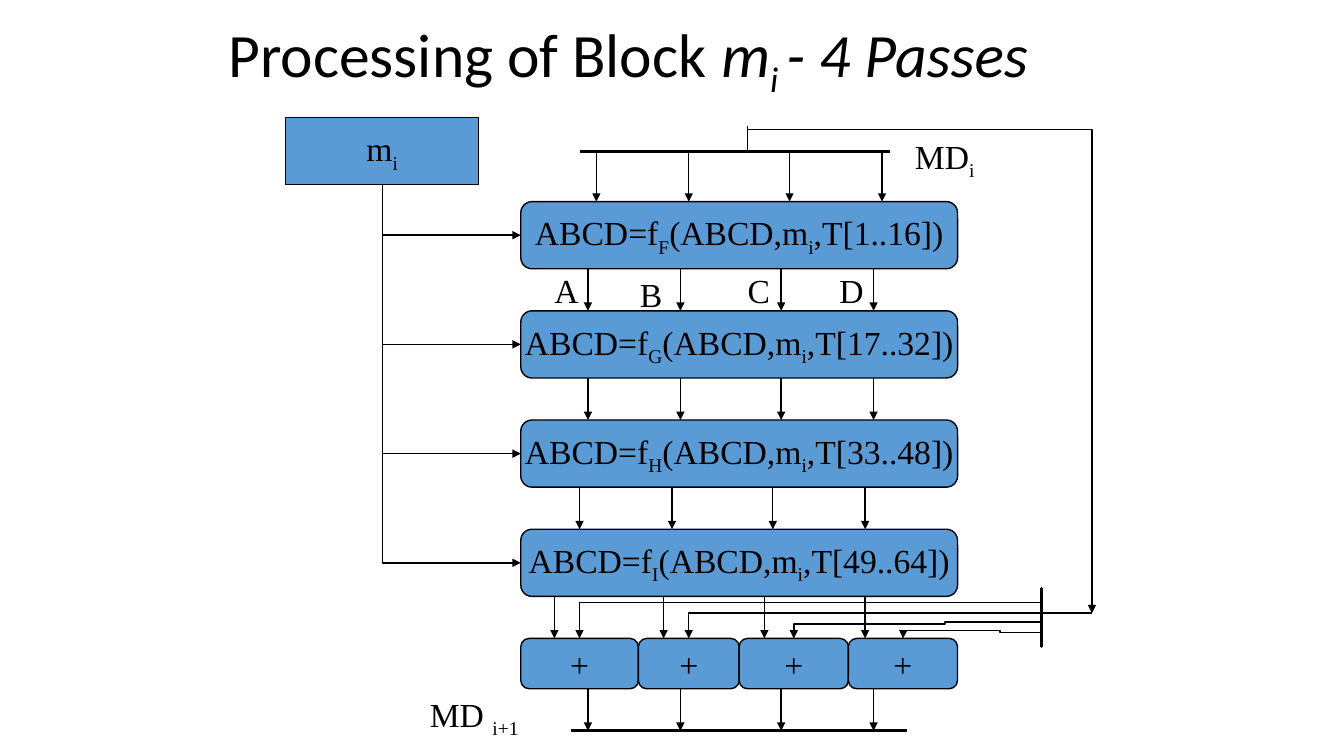
import dataclasses

import pptx
import pptx.dml.color
import pptx.enum.dml
import pptx.enum.shapes
import pptx.enum.text
import pptx.oxml
import pptx.oxml.ns
import pptx.util

Pt = pptx.util.Pt
SHAPE = pptx.enum.shapes.MSO_SHAPE
CONNECTOR = pptx.enum.shapes.MSO_CONNECTOR
ALIGN = pptx.enum.text.PP_ALIGN
ANCHOR = pptx.enum.text.MSO_ANCHOR
AUTO_SIZE = pptx.enum.text.MSO_AUTO_SIZE


@dataclasses.dataclass(frozen=True)
class Theme:
    """Colours, fonts and sizes of the slide."""
    ink: pptx.dml.color.RGBColor = pptx.dml.color.RGBColor(0, 0, 0)
    box_fill: pptx.dml.color.RGBColor = pptx.dml.color.RGBColor(0x5B, 0x9B, 0xD5)
    title_font: str = "Calibri"
    body_font: str = "Times New Roman"
    title_size: int = 44
    body_size: int = 24
    thin: float = 1
    thick: float = 2.25


@dataclasses.dataclass(frozen=True)
class Box:
    """A rectangle in points."""
    left: float
    top: float
    width: float
    height: float

    @property
    def right(self):
        """Right edge."""
        return self.left + self.width

    @property
    def bottom(self):
        """Bottom edge."""
        return self.top + self.height

    @property
    def lengths(self):
        """Left, top, width and height as lengths."""
        return [Pt(value) for value in (self.left, self.top, self.width, self.height)]


THEME = Theme()
WORD_OFFSETS = (0, 66, 138, 204)


def write_parts(paragraph, parts, font_name, size):
    """Write one run per part; a leading underscore makes it a subscript."""
    for part in parts:
        run = paragraph.add_run()
        run.text = part.removeprefix("_")
        run.font.name = font_name
        run.font.size = Pt(size)
        run.font.color.rgb = THEME.ink
        if part.startswith("_"):
            run.font._element.set("baseline", "-25000")


def add_box(slide, box, parts, preset=SHAPE.FLOWCHART_ALTERNATE_PROCESS):
    """Add a filled box with centred text."""
    shape = slide.shapes.add_shape(preset, *box.lengths)
    shape.shadow.inherit = False
    shape.fill.solid()
    shape.fill.fore_color.rgb = THEME.box_fill
    shape.line.color.rgb = THEME.ink
    shape.line.width = Pt(THEME.thin)
    frame = shape.text_frame
    frame.word_wrap = False
    frame.vertical_anchor = ANCHOR.MIDDLE
    paragraph = frame.paragraphs[0]
    paragraph.alignment = ALIGN.CENTER
    write_parts(paragraph, parts, THEME.body_font, THEME.body_size)


def add_label(slide, box, parts):
    """Add a one-line label."""
    frame = slide.shapes.add_textbox(*box.lengths).text_frame
    frame.word_wrap = False
    frame.auto_size = AUTO_SIZE.SHAPE_TO_FIT_TEXT
    write_parts(frame.paragraphs[0], parts, THEME.body_font, THEME.body_size)


def add_line(shapes, start, end, width=THEME.thin, arrow=False, kind=CONNECTOR.STRAIGHT):
    """Add a connector between two points."""
    line = shapes.add_connector(kind, *[Pt(value) for value in (*start, *end)])
    line.line.color.rgb = THEME.ink
    line.line.width = Pt(width)
    properties = line.element.spPr
    if arrow:
        tail = pptx.oxml.parse_xml(f'<a:tailEnd {pptx.oxml.ns.nsdecls("a")} type="triangle"/>')
        line.line._get_or_add_ln().append(tail)
    properties.append(pptx.oxml.parse_xml(f'<a:effectLst {pptx.oxml.ns.nsdecls("a")}/>'))
    return line


def add_elbow(shapes, start, end, preset, adjustments=()):
    """Add a bent arrow that leaves its start vertically."""
    line = add_line(shapes, start, end, arrow=True, kind=CONNECTOR.ELBOW)
    across, down = end[0] - start[0], end[1] - start[1]
    width, height = abs(down), abs(across)
    line.left = Pt((start[0] + end[0] - width) / 2)
    line.top = Pt((start[1] + end[1] - height) / 2)
    line.width, line.height = Pt(width), Pt(height)
    transform = line.element.spPr.find(pptx.oxml.ns.qn("a:xfrm"))
    transform.set("rot", str(270 * 60000))
    transform.set("flipH", str(int(down > 0)))
    transform.set("flipV", str(int(across < 0)))
    geometry = line.element.spPr.find(pptx.oxml.ns.qn("a:prstGeom"))
    geometry.set("prst", preset)
    values = geometry.find(pptx.oxml.ns.qn("a:avLst"))
    for number, value in enumerate(adjustments, 1):
        guide = pptx.oxml.parse_xml(
            f'<a:gd {pptx.oxml.ns.nsdecls("a")} name="adj{number}" fmla="val {round(value * 100000)}"/>')
        values.append(guide)


def add_arrows(slide, columns, top, bottom):
    """Add a group of parallel downward arrows."""
    group = slide.shapes.add_group_shape()
    for column in columns:
        add_line(group.shapes, (column, top), (column, bottom), arrow=True)


def word_columns(left):
    """Return the columns of the four words A to D."""
    return [left + offset for offset in WORD_OFFSETS]


def draw_title(slide, box):
    """Place and format the title."""
    title = slide.shapes.title
    title.left, title.top, title.width, title.height = box.lengths
    frame = title.text_frame
    frame.auto_size = AUTO_SIZE.NONE
    frame.vertical_anchor = ANCHOR.MIDDLE
    paragraph = frame.paragraphs[0]
    paragraph.alignment = ALIGN.LEFT
    paragraph.line_spacing = 0.9
    parts = ("Processing of Block ", "m", "_i ", "- 4 Passes")
    write_parts(paragraph, parts, THEME.title_font, THEME.title_size)
    for run in paragraph.runs[1:]:
        run.font.italic = True


def draw_input_digest(slide, box):
    """Draw the MD bar, its feed and the arrows into the first pass."""
    add_line(slide.shapes, (box.left, box.top), (box.right, box.top), THEME.thick)
    feed = box.left + 120
    add_line(slide.shapes, (feed, box.top - 18), (feed, box.top))
    add_arrows(slide, word_columns(box.left + 12), box.top, box.bottom)
    add_label(slide, Box(box.right + 10.5, box.top - 14.4, 57.6, 36), ("MD", "_i"))


def draw_passes(slide, box):
    """Draw the four passes and the arrows between them."""
    height, step = 48, 78
    passes = (("F", "1..16"), ("G", "17..32"), ("H", "33..48"), ("I", "49..64"))
    for index, (function, constants) in enumerate(passes):
        top = box.top + index * step
        parts = ("ABCD=f", f"_{function}", "(ABCD,m", "_i", f",T[{constants}])")
        add_box(slide, Box(box.left, top, box.width, height), parts)
    for index, shift in enumerate((48, 48, 42)):
        top = box.top + index * step + height
        add_arrows(slide, word_columns(box.left + shift), top, top + step - height)
    for letter, left, top in (("A", 17, 45.5), ("B", 78, 48), ("C", 155, 45.5), ("D", 220.5, 45.5)):
        add_label(slide, Box(box.left + left, box.top + top, 31, 36), (letter,))


def draw_message(slide, box, passes):
    """Draw the message block and its arrow into every pass."""
    add_box(slide, box, ("m", "_i"), SHAPE.RECTANGLE)
    start = (box.left + box.width / 2, box.bottom)
    for index in range(4):
        end = (passes.left, passes.top + 24 + index * 78)
        add_elbow(slide.shapes, start, end, "bentConnector2")


def draw_sums(slide, box):
    """Draw the additions, the arrows into them and the resulting digest."""
    left = box.left
    for width in (84, 72, 78, 78):
        add_box(slide, Box(left, box.top, width, box.height), ("+",))
        left += width
    add_arrows(slide, [box.left + offset for offset in (24, 102, 174, 246)], box.top - 30, box.top)
    bar = box.bottom + 30
    add_arrows(slide, word_columns(box.left + 48), box.bottom, bar)
    add_line(slide.shapes, (box.left + 36, bar), (box.left + 276, bar), THEME.thick)
    add_label(slide, Box(box.left - 72, box.bottom, 80.5, 36), ("MD ", "_i+1"))


def draw_feedback(slide, box, sums):
    """Draw the digest loop on the right and its branches to the sums."""
    bar, middle = box.right - 36, box.bottom
    add_elbow(slide.shapes, (box.left, box.top), (box.right, middle), "bentConnector3", (-0.01,))
    add_line(slide.shapes, (bar, middle), (box.right, middle))
    add_line(slide.shapes, (bar, middle - 18), (bar, middle + 24), THEME.thick)
    branches = (
        (42, -19, "bentConnector3", (0.31,)),
        (120, -19, "bentConnector3", (0.51,)),
        (195, 25, "bentConnector5", (2.67, 0.39, 2.46)),
        (273, 25, "bentConnector5", (1.61, 0.3, 1.82)),
    )
    for column, shift, preset, adjustments in branches:
        end = (sums.left + column, sums.top)
        add_elbow(slide.shapes, (bar, middle + shift), end, preset, adjustments)


def main():
    """Build the slide and save it."""
    presentation = pptx.Presentation()
    presentation.slide_width, presentation.slide_height = Pt(960), Pt(540)
    slide = presentation.slides.add_slide(presentation.slide_layouts[5])
    passes = Box(372, 144, 312, 282)
    sums = Box(372, 456, 312, 36)
    draw_title(slide, Box(156, 0, 660, 78))
    draw_passes(slide, passes)
    draw_message(slide, Box(204, 84, 138, 48), passes)
    draw_sums(slide, sums)
    draw_input_digest(slide, Box(414, 108, 222, 36))
    draw_feedback(slide, Box(534, 96, 246, 342), sums)
    presentation.save("out.pptx")


if __name__ == "__main__":
    main()
